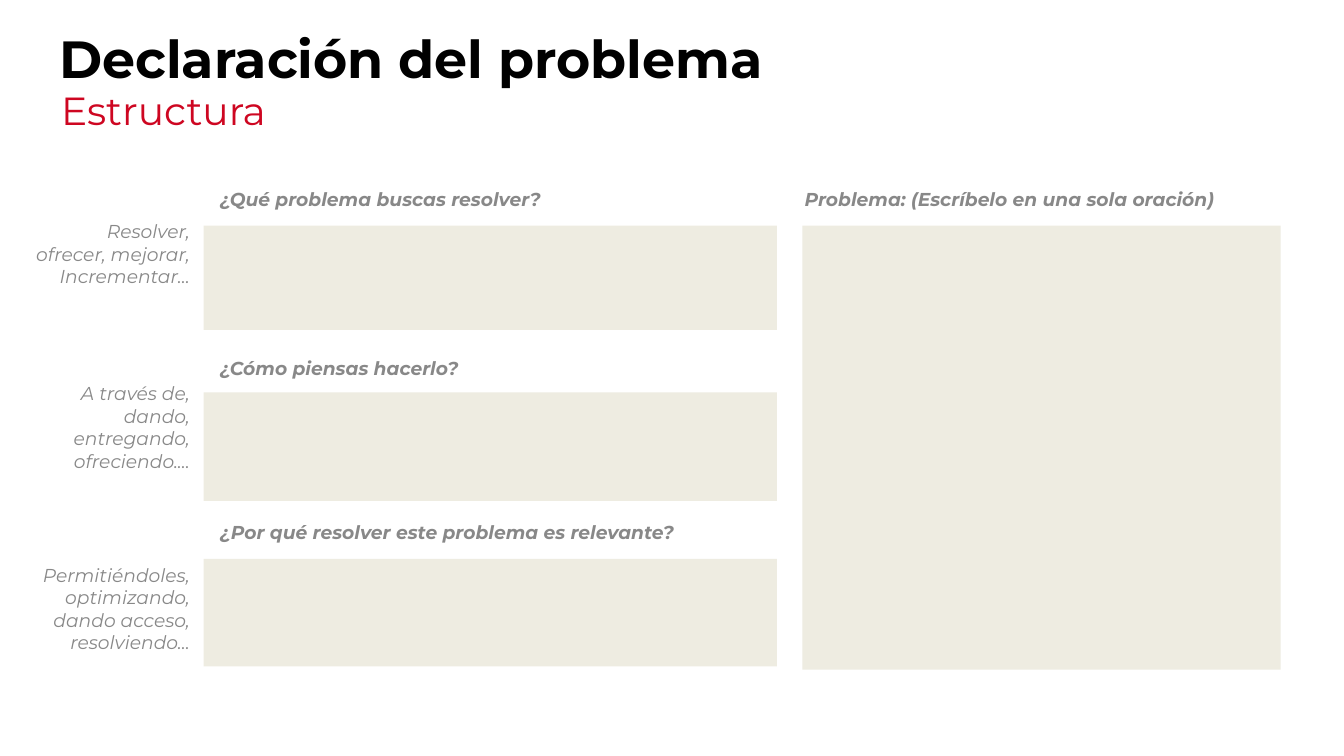
from pptx import Presentation
from pptx.dml.color import RGBColor
from pptx.enum.shapes import MSO_SHAPE
from pptx.enum.text import MSO_ANCHOR, MSO_AUTO_SIZE, PP_ALIGN
from pptx.util import Cm, Pt

RECT = MSO_SHAPE.RECTANGLE
TOP, BOTTOM = MSO_ANCHOR.TOP, MSO_ANCHOR.BOTTOM
LEFT, RIGHT = PP_ALIGN.LEFT, PP_ALIGN.RIGHT
FIXED = MSO_AUTO_SIZE.NONE
BLACK = RGBColor(0x00, 0x00, 0x00)
RED = RGBColor(0xCE, 0x06, 0x21)
GRAY = RGBColor(0x88, 0x88, 0x88)
SAND = RGBColor(0xEE, 0xEC, 0xE1)
FONT = "Montserrat"

TITLE = "Declaración del problema"
SUB = "Estructura"
GOAL = "Problema: (Escríbelo en una sola oración)"
ROWS = [
    ("¿Qué problema buscas resolver?",
     "Resolver, ofrecer, mejorar, Incrementar...", 6.58, 7.82, 8.53, 3.94),
    ("¿Cómo piensas hacerlo?",
     "A través de, dando, entregando, ofreciendo....", 12.98, 13.94, 14.83, 4.11),
    ("¿Por qué resolver este problema es relevante?",
     "Permitiéndoles, optimizando, dando acceso, resolviendo...",
     19.18, 20.8, 21.13, 4.06),
]
HINT_X, HINT_W, HINT_H = 0.86, 6.83, 5.18
HEAD_X, HEAD_W, HEAD_H = 7.8, 20.98, 2.26
BOX_X, BOX_W = 7.7, 21.67
GOAL_X, GOAL_W, GOAL_H = 30.33, 18.08, 16.79
GOAL_HEAD = 29.9


def place(shape, x, y, w, h):
    shape.left, shape.top = Cm(x), Cm(y)
    shape.width, shape.height = Cm(w), Cm(h)


def write(shape, text, size, color, bold=False, italic=False,
          align=LEFT, anchor=TOP):
    frame = shape.text_frame
    frame.text = text
    frame.word_wrap = True
    frame.auto_size = FIXED
    frame.vertical_anchor = anchor
    frame.margin_left = frame.margin_right = Cm(0.51)
    frame.margin_top = frame.margin_bottom = Cm(0.51)
    para = frame.paragraphs[0]
    para.alignment = align
    para.line_spacing = 1.0
    para.space_before = Pt(0)
    font = para.font
    font.name, font.size = FONT, Pt(size)
    font.bold, font.italic = bold, italic
    font.color.rgb = color


def add_note(slide, text, x, y, w, h, bold=False, align=LEFT):
    note = slide.shapes.add_textbox(Cm(x), Cm(y), Cm(w), Cm(h))
    write(note, text, 20, GRAY, bold, True, align)


def add_box(slide, x, y, w, h):
    box = slide.shapes.add_shape(RECT, Cm(x), Cm(y), Cm(w), Cm(h))
    box.shadow.inherit = False
    box.fill.solid()
    box.fill.fore_color.rgb = SAND
    box.line.fill.background()


def main():
    deck = Presentation()
    deck.slide_width, deck.slide_height = Cm(50.8), Cm(28.58)
    slide = deck.slides.add_slide(deck.slide_layouts[0])

    title, sub = slide.shapes.title, slide.placeholders[1]
    place(title, 1.73, 1.78, 47.35, 2.11)
    write(title, TITLE, 56, BLACK, bold=True, anchor=BOTTOM)
    place(sub, 1.8, 2.77, 45.97, 3)
    write(sub, SUB, 42, RED)

    for head, hint, head_y, hint_y, box_y, box_h in ROWS:
        add_box(slide, BOX_X, box_y, BOX_W, box_h)
        add_note(slide, head, HEAD_X, head_y, HEAD_W, HEAD_H, bold=True)
        add_note(slide, hint, HINT_X, hint_y, HINT_W, HINT_H, align=RIGHT)

    add_box(slide, GOAL_X, ROWS[0][4], GOAL_W, GOAL_H)
    add_note(slide, GOAL, GOAL_HEAD, ROWS[0][2], HEAD_W, HEAD_H, bold=True)
    deck.save("out.pptx")


if __name__ == "__main__":
    main()
